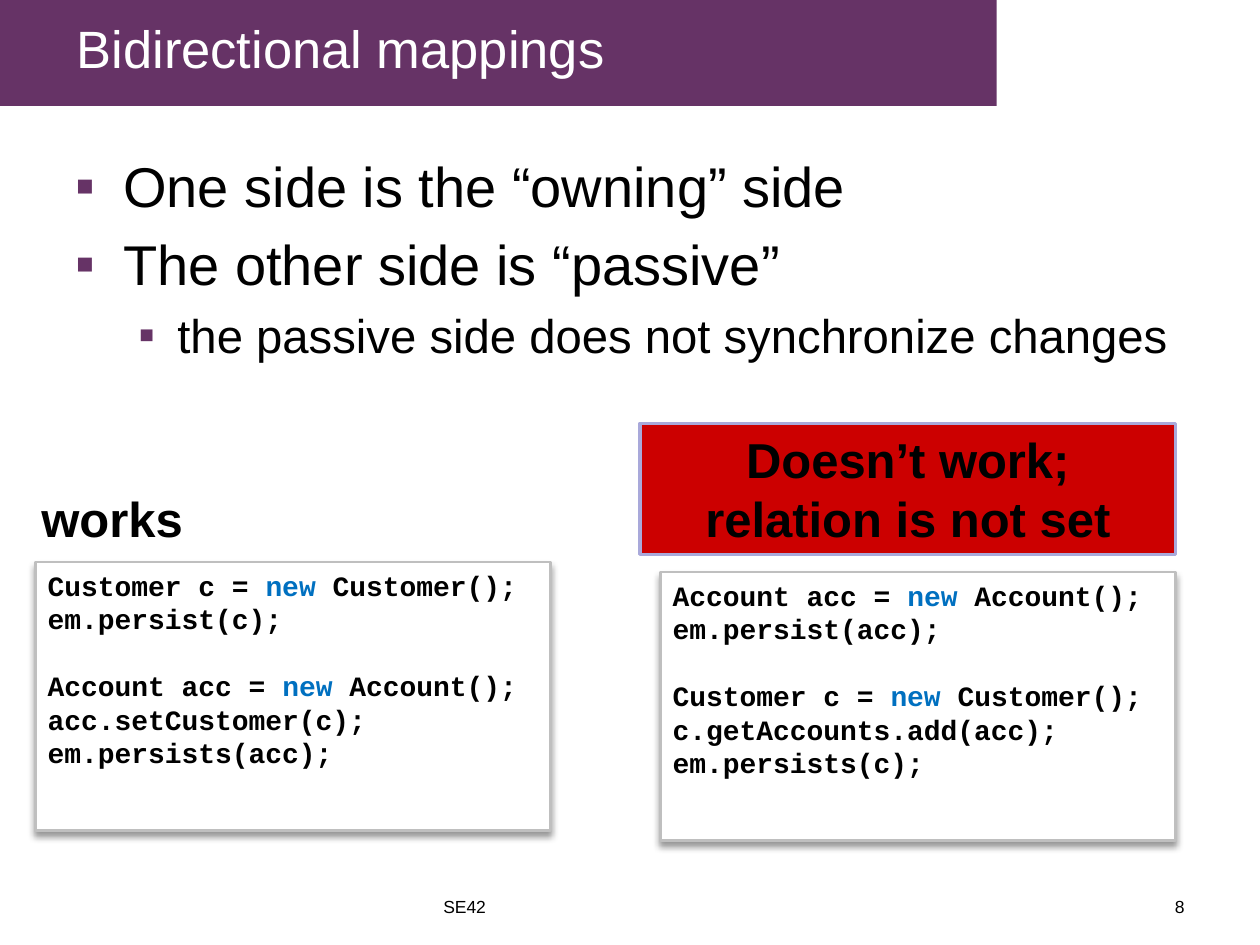
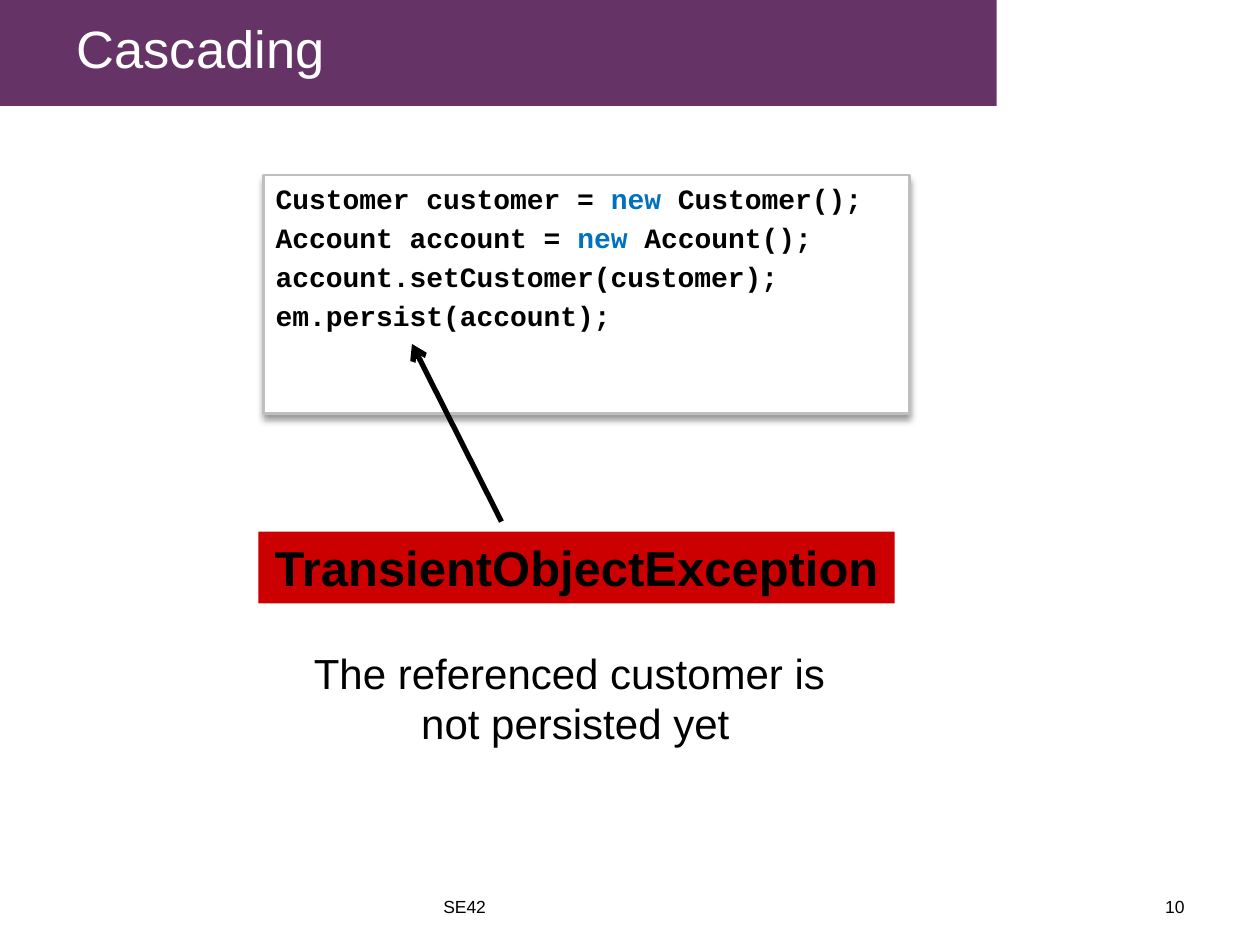
from dataclasses import dataclass

import lxml.etree
import pptx
import pptx.dml.color
import pptx.enum.shapes
import pptx.enum.text
import pptx.oxml.ns
import pptx.util

Inches = pptx.util.Inches
Pt = pptx.util.Pt
ALIGN = pptx.enum.text.PP_ALIGN
ANCHOR = pptx.enum.text.MSO_ANCHOR


@dataclass(frozen=True)
class Theme:
    purple: str = "663366"
    black: str = "000000"
    white: str = "FFFFFF"
    red: str = "CC0000"
    warning_border: str = "A9A9DA"
    code_border: str = "BFBFBF"
    keyword: str = "0070C0"
    sans: str = "Arial"
    mono: str = "Courier New"
    title_size: int = 30
    bullet_sizes: tuple = (32, 27)
    label_size: int = 28
    caption_size: int = 24
    code_size: int = 16
    footer_size: int = 10


THEME = Theme()


@dataclass(frozen=True)
class Box:
    """A rectangle in inches."""
    left: float
    top: float
    width: float
    height: float

    def inside(self, left, top, width, height):
        """A box whose corner is measured from this one's corner."""
        return Box(self.left + left, self.top + top, width, height)

    def lengths(self):
        return [Inches(n) for n in (self.left, self.top, self.width, self.height)]


PAGE = Box(0, 0, 10, 7.5)


def rgb(color):
    return pptx.dml.color.RGBColor.from_string(color)


def add_xml(parent, tag, **attributes):
    return lxml.etree.SubElement(parent, pptx.oxml.ns.qn(tag), **attributes)


def style_run(run, size, color=THEME.black, bold=False, font=THEME.sans):
    run.font.name = font
    run.font.size = Pt(size)
    run.font.bold = bold
    run.font.color.rgb = rgb(color)


def add_panel(slide, box, fill, border=None, border_width=0):
    panel = slide.shapes.add_shape(
        pptx.enum.shapes.MSO_SHAPE.RECTANGLE, *box.lengths())
    panel.shadow.inherit = False
    panel.fill.solid()
    panel.fill.fore_color.rgb = rgb(fill)
    if border:
        panel.line.color.rgb = rgb(border)
        panel.line.width = Pt(border_width)
    else:
        panel.line.fill.background()
    return panel


def write(shape, text, size, color=THEME.black, bold=False, align=ALIGN.LEFT,
          anchor=ANCHOR.TOP, wrap=True):
    frame = shape.text_frame
    frame.text = text
    frame.word_wrap = wrap
    frame.vertical_anchor = anchor
    for paragraph in frame.paragraphs:
        paragraph.alignment = align
        for run in paragraph.runs:
            style_run(run, size, color, bold)


def add_text(slide, box, text, size, **style):
    write(slide.shapes.add_textbox(*box.lengths()), text, size, **style)


def add_base_slide(deck, title, number):
    """Blank slide with the title band and the footer."""
    slide = deck.slides.add_slide(deck.slide_layouts[6])
    add_panel(slide, PAGE.inside(0, 0, 7.91, 0.84), THEME.purple)
    add_text(slide, PAGE.inside(0.51, 0, 7.24, 0.76), title, THEME.title_size,
             color=THEME.white, anchor=ANCHOR.MIDDLE)
    add_text(slide, PAGE.inside(3.42, 7.06, 3.17, 0.28), "SE42", THEME.footer_size)
    add_text(slide, PAGE.inside(7.17, 7.06, 2.33, 0.28), str(number),
             THEME.footer_size, align=ALIGN.RIGHT)
    return slide


def add_bullets(slide, box, items):
    """Items are (level, text) pairs."""
    frame = slide.shapes.add_textbox(*box.lengths()).text_frame
    frame.text = "\n".join(text for _, text in items)
    frame.word_wrap = True
    for paragraph, (level, _) in zip(frame.paragraphs, items):
        size = THEME.bullet_sizes[level]
        margin, hang = ((0.38, 0.38), (0.81, 0.31))[level]
        paragraph.level = level
        paragraph.space_before = Pt(0.2 * size)
        properties = paragraph._p.get_or_add_pPr()
        properties.set("marL", str(Inches(margin)))
        properties.set("indent", str(-Inches(hang)))
        add_xml(add_xml(properties, "a:buClr"), "a:srgbClr", val=THEME.purple)
        add_xml(properties, "a:buFont", typeface=THEME.sans)
        add_xml(properties, "a:buChar", char="▪")
        style_run(paragraph.runs[0], size)


def add_code(slide, box, blocks, line_gap=0, block_gap=19):
    """Shadowed panel of code; blocks are lists of lines, gaps are in points."""
    panel = add_panel(slide, box, THEME.white, THEME.code_border, 1.5)
    effects = panel._element.spPr.find(pptx.oxml.ns.qn("a:effectLst"))
    shadow = add_xml(effects, "a:outerShdw", blurRad=str(Pt(4)), dist=str(Pt(3)),
                     dir="5400000", algn="t", rotWithShape="0")
    shade = add_xml(shadow, "a:srgbClr", val=THEME.black)
    add_xml(shade, "a:alpha", val="40000")

    frame = panel.text_frame
    frame.text = "\n".join(line for block in blocks for line in block)
    frame.word_wrap = True
    frame.vertical_anchor = ANCHOR.TOP
    block_starts = {sum(map(len, blocks[:i])) for i in range(1, len(blocks))}
    for index, paragraph in enumerate(frame.paragraphs):
        paragraph.alignment = ALIGN.LEFT
        paragraph.space_before = Pt(block_gap if index in block_starts else line_gap)
        parts = paragraph.text.partition("new")
        paragraph.clear()
        for part in filter(None, parts):
            run = paragraph.add_run()
            run.text = part
            color = THEME.keyword if part == "new" else THEME.black
            style_run(run, THEME.code_size, color, True, THEME.mono)


def add_arrow(slide, start, end):
    arrow = slide.shapes.add_connector(
        pptx.enum.shapes.MSO_CONNECTOR.STRAIGHT, *map(Inches, start + end))
    arrow.line.color.rgb = rgb(THEME.black)
    arrow.line.width = Pt(3)
    add_xml(arrow.line._get_or_add_ln(), "a:tailEnd", type="arrow")
    add_xml(arrow._element.spPr, "a:effectLst")


def add_working_example(slide, box):
    add_code(slide, box.inside(0.11, 0.63, 4.09, 2.13), [
        ["Customer c = new Customer();", "em.persist(c);"],
        ["Account acc = new Account();", "acc.setCustomer(c);", "em.persists(acc);"],
    ])
    add_text(slide, box.inside(0, 0, 1.44, 0.57), "works", THEME.label_size,
             bold=True, align=ALIGN.CENTER)


def add_failing_example(slide, box):
    add_code(slide, box.inside(0.16, 1.18, 4.09, 2.13), [
        ["Account acc = new Account();", "em.persist(acc);"],
        ["Customer c = new Customer();", "c.getAccounts.add(acc);", "em.persists(c);"],
    ])
    warning = add_panel(slide, box.inside(0, 0, box.width, 1.04),
                        THEME.red, THEME.warning_border, 2)
    write(warning, "Doesn’t work; relation is not set", THEME.label_size,
          bold=True, align=ALIGN.CENTER)


def add_exception(slide, box):
    """Exception label, arrow up to the failing line, and explanation."""
    exception = add_panel(slide, box.inside(0, 0, box.width, 0.57), THEME.red)
    write(exception, "TransientObjectException", THEME.label_size, bold=True,
          align=ALIGN.CENTER, wrap=False)
    add_arrow(slide, (box.left + 1.93, box.top - 0.08),
              (box.left + 1.22, box.top - 1.49))
    add_text(slide, box.inside(0.32, 0.87, 4.3, 0.91),
             "The referenced customer is\n not persisted yet",
             THEME.caption_size, align=ALIGN.CENTER, wrap=False)


def build_mappings_slide(deck):
    slide = add_base_slide(deck, "Bidirectional mappings", 8)
    add_bullets(slide, PAGE.inside(0.5, 1.15, 9, 1.97), [
        (0, "One side is the “owning” side"),
        (0, "The other side is “passive”"),
        (1, "the passive side does not synchronize changes"),
    ])
    add_working_example(slide, PAGE.inside(0.17, 3.83, 4.2, 2.76))
    add_failing_example(slide, PAGE.inside(5.08, 3.36, 4.25, 3.31))


def build_cascading_slide(deck):
    slide = add_base_slide(deck, "Cascading", 10)
    add_code(slide, PAGE.inside(2.09, 1.39, 5.13, 1.89), [[
        "Customer customer = new Customer();",
        "Account account = new Account();",
        "account.setCustomer(customer);",
        "em.persist(account);",
    ]], line_gap=0.2 * THEME.code_size)
    add_exception(slide, PAGE.inside(2.05, 4.22, 5.05, 1.78))


def main():
    deck = pptx.Presentation()
    deck.slide_width = Inches(PAGE.width)
    deck.slide_height = Inches(PAGE.height)
    build_mappings_slide(deck)
    build_cascading_slide(deck)
    deck.save("out.pptx")


if __name__ == "__main__":
    main()
